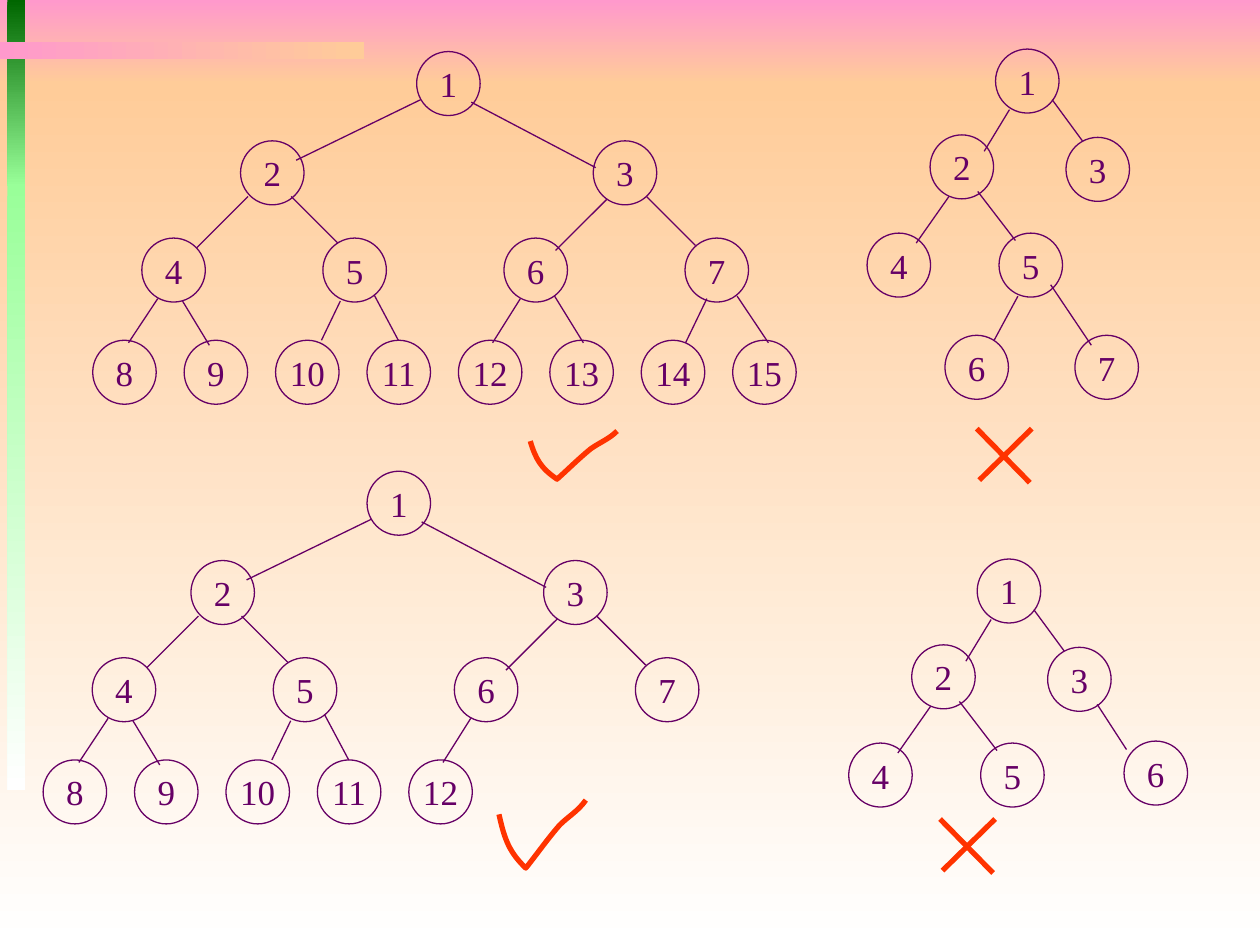
from dataclasses import dataclass
from typing import Optional

from lxml import etree
from pptx import Presentation
from pptx.dml.color import RGBColor
from pptx.enum.shapes import MSO_CONNECTOR, MSO_SHAPE
from pptx.enum.text import MSO_ANCHOR, PP_ALIGN
from pptx.oxml.ns import qn
from pptx.util import Cm, Pt

PURPLE = RGBColor(0x66, 0x00, 0x66)
RED = RGBColor(0xFF, 0x33, 0x00)
PINK = RGBColor(0xFF, 0x99, 0xCC)
PEACH = RGBColor(0xFF, 0xCC, 0x99)
WHITE = RGBColor(0xFF, 0xFF, 0xFF)
DARK_GREEN = RGBColor(0x00, 0x66, 0x00)
LIGHT_GREEN = RGBColor(0x99, 0xFF, 0x99)
FONT = "Times New Roman"
NODE_WIDTH, NODE_HEIGHT = 1.28, 1.29


# All lengths below are centimetres
@dataclass(frozen=True)
class Band:
    left: float
    top: float
    width: float
    height: float
    start: RGBColor
    end: RGBColor
    angle: int = 270


@dataclass(frozen=True)
class Edge:
    x1: float
    y1: float
    x2: float
    y2: float


@dataclass(frozen=True)
class Node:
    label: int
    left: float
    top: float
    edge: Optional[Edge] = None  # line from the parent


@dataclass(frozen=True)
class Tree:
    nodes: list[Node]
    dx: float = 0
    dy: float = 0


@dataclass(frozen=True)
class Tick:
    left: float
    top: float
    height: float


@dataclass(frozen=True)
class Cross:
    left: float
    top: float


BANDS = [
    Band(0, 0, 25.4, 1.7, PINK, PEACH),
    Band(0, 1.7, 25.4, 17.35, PEACH, WHITE),
    Band(0.15, 0, 0.36, 3.76, DARK_GREEN, LIGHT_GREEN),
    Band(0.15, 3.71, 0.36, 12.22, LIGHT_GREEN, WHITE),
    Band(0, 0.84, 7.34, 0.36, PINK, PEACH, 0),
]

# Levels of the full tree: first left, step, top
LEVELS = [(8.4, 0, 1.04), (4.85, 7.11, 2.84), (2.86, 3.65, 4.8), (1.87, 1.843, 6.86)]
FULL_EDGES = {
    2: Edge(8.48, 2.01, 5.97, 3.23),
    3: Edge(9.5, 2.06, 12.01, 3.38),
    4: Edge(5, 3.96, 3.96, 5),
    5: Edge(5.87, 3.96, 6.81, 4.9),
    6: Edge(12.24, 4.01, 11.2, 5.05),
    7: Edge(13.03, 3.96, 14.02, 4.95),
    8: Edge(3.18, 6.02, 2.59, 6.91),
    9: Edge(3.68, 6.07, 4.22, 6.96),
    10: Edge(6.86, 6.07, 6.48, 6.86),
    11: Edge(7.54, 5.94, 8.03, 6.86),
    12: Edge(10.49, 6.02, 9.93, 6.91),
    13: Edge(11.18, 5.97, 11.76, 6.91),
    14: Edge(14.25, 6.02, 13.82, 6.91),
    15: Edge(14.86, 5.97, 15.49, 6.91),
}
FULL = [
    Node(2**depth + i, left + i * step, top, FULL_EDGES.get(2**depth + i))
    for depth, (left, step, top) in enumerate(LEVELS)
    for i in range(2**depth)
]
SMALL = [
    Node(1, 20.07, 0.99),
    Node(2, 18.75, 2.72, Edge(20.35, 2.21, 19.84, 3.05)),
    Node(3, 21.49, 2.77, Edge(21.21, 2.01, 21.82, 2.84)),
    Node(4, 17.48, 4.7, Edge(19.13, 3.96, 18.47, 4.9)),
    Node(5, 20.14, 4.7, Edge(19.71, 3.86, 20.47, 4.85)),
]
SKEWED = SMALL + [
    Node(6, 19.05, 6.76, Edge(20.52, 5.97, 20.04, 6.86)),
    Node(7, 21.67, 6.76, Edge(21.18, 5.74, 22, 6.96)),
]
GAPPED = SMALL + [Node(6, 23.03, 4.66, Edge(22.49, 3.92, 23.08, 4.83))]
TREES = [Tree(FULL), Tree(FULL[:12], -1, 8.46), Tree(SKEWED), Tree(GAPPED, -0.37, 10.28)]

# Tick outline: start, then three Bezier points per curve; y as a share of the height
TICK_POINTS = [(0, 0.21), (0.11, 0.58), (0.21, 0.77), (0.54, 1), (0.77, 0.79),
               (0.97, 0.58), (1.22, 0.37), (1.38, 0.25), (1.6, 0.16), (1.75, 0)]
TICKS = [Tick(10.69, 8.69, 0.97), Tick(10.06, 16.13, 1.37)]
CROSS_STROKES = [Edge(1.11, 0, 0.05, 1.04), Edge(0, 0, 1.07, 1.09)]
CROSSES = [Cross(19.69, 8.64), Cross(18.95, 16.51)]


def add_band(shapes, band: Band) -> None:
    shape = shapes.add_shape(MSO_SHAPE.RECTANGLE, Cm(band.left), Cm(band.top),
                             Cm(band.width), Cm(band.height))
    shape.shadow.inherit = False
    shape.line.fill.background()
    shape.fill.gradient()
    shape.fill.gradient_angle = band.angle
    for stop, color in zip(shape.fill.gradient_stops, (band.start, band.end)):
        stop.color.rgb = color


def add_line(shapes, edge: Edge, dx: float, dy: float, color: RGBColor, width: float) -> None:
    line = shapes.add_connector(MSO_CONNECTOR.STRAIGHT, Cm(edge.x1 + dx), Cm(edge.y1 + dy),
                                Cm(edge.x2 + dx), Cm(edge.y2 + dy))
    line.line.color.rgb = color
    line.line.width = Pt(width)
    etree.SubElement(line._element.spPr, qn("a:effectLst"))


def add_node(shapes, node: Node, dx: float, dy: float) -> None:
    circle = shapes.add_shape(MSO_SHAPE.OVAL, Cm(node.left + dx), Cm(node.top + dy),
                              Cm(NODE_WIDTH), Cm(NODE_HEIGHT))
    circle.shadow.inherit = False
    circle.fill.background()
    circle.line.color.rgb = PURPLE
    circle.line.width = Pt(0.75)
    frame = circle.text_frame
    frame.word_wrap = False
    frame.vertical_anchor = MSO_ANCHOR.MIDDLE
    paragraph = frame.paragraphs[0]
    paragraph.alignment = PP_ALIGN.CENTER
    run = paragraph.add_run()
    run.text = str(node.label)
    run.font.name = FONT
    run.font.size = Pt(20)
    run.font.color.rgb = PURPLE


def add_tree(shapes, tree: Tree) -> None:
    for node in tree.nodes:
        add_node(shapes, node, tree.dx, tree.dy)
    for node in tree.nodes:
        if node.edge:
            add_line(shapes, node.edge, tree.dx, tree.dy, PURPLE, 0.75)


def add_tick(shapes, tick: Tick) -> None:
    points = [(Cm(tick.left + x), Cm(tick.top + y * tick.height)) for x, y in TICK_POINTS]
    builder = shapes.build_freeform(*points[0])
    builder.add_line_segments(points[1:], close=False)
    shape = builder.convert_to_shape()
    # Merge each three straight segments into one Bezier curve
    segments = list(shape._element.iter(qn("a:lnTo")))
    for first in range(0, len(segments), 3):
        curve = etree.SubElement(segments[first].getparent(), qn("a:cubicBezTo"))
        for segment in segments[first:first + 3]:
            curve.append(segment[0])
            segment.getparent().remove(segment)
    shape.shadow.inherit = False
    shape.fill.background()
    shape.line.color.rgb = RED
    shape.line.width = Pt(3)


prs = Presentation()
prs.slide_width, prs.slide_height = Cm(25.4), Cm(19.05)
shapes = prs.slides.add_slide(prs.slide_layouts[6]).shapes

# Backdrop
for band in BANDS:
    add_band(shapes, band)
# Binary trees
for tree in TREES:
    add_tree(shapes, tree)
# Verdict marks
for tick in TICKS:
    add_tick(shapes, tick)
for cross in CROSSES:
    for stroke in CROSS_STROKES:
        add_line(shapes, stroke, cross.left, cross.top, RED, 3)

prs.save("out.pptx")
